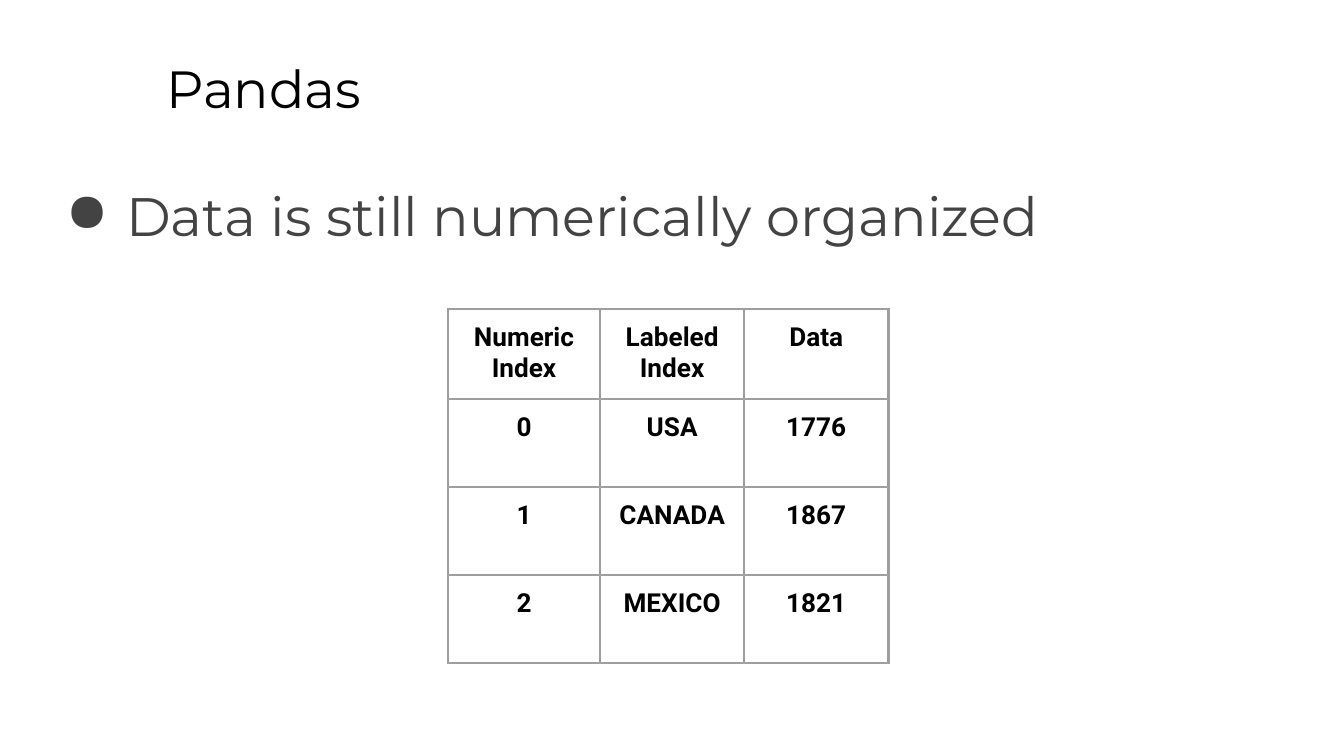
from lxml import etree
from pptx import Presentation
from pptx.dml.color import RGBColor
from pptx.enum.text import MSO_ANCHOR, PP_ALIGN
from pptx.oxml.ns import qn
from pptx.util import Pt

TOP = MSO_ANCHOR.TOP
LEFT = PP_ALIGN.LEFT
CENTER = PP_ALIGN.CENTER
INSET = Pt(7.2)
COLORS = {"ink": "000000", "body": "434343", "grid": "9E9E9E"}
ROWS = [
    ("Numeric Index", "Labeled Index", "Data"),
    ("0", "USA", "1776"),
    ("1", "CANADA", "1867"),
    ("2", "MEXICO", "1821"),
]
WIDTHS = (81.5, 77.2, 77.2)
HEIGHT = 47.25


def style(para, font, size, color, bold=False, align=LEFT):
    """Format the runs of a paragraph."""
    para.alignment = align
    for run in para.runs:
        run.font.name = font
        run.font.size = Pt(size)
        run.font.bold = bold
        run.font.color.rgb = RGBColor.from_string(COLORS[color])


def inset(box):
    """Give a text frame or cell equal margins on all sides."""
    box.margin_left = box.margin_right = INSET
    box.margin_top = box.margin_bottom = INSET


def add_text(slide, place, text, size, color):
    """Add a wrapped text box and return its paragraph."""
    box = slide.shapes.add_textbox(*(Pt(n) for n in place))
    frame = box.text_frame
    frame.word_wrap = True
    frame.vertical_anchor = TOP
    inset(frame)
    frame.text = text
    para = frame.paragraphs[0]
    style(para, "Montserrat", size, color)
    return para


def add_bullet(para, color, left, hang):
    """Put a round bullet and a hanging indent on a paragraph."""
    props = para._p.get_or_add_pPr()
    props.set("marL", str(Pt(left)))
    props.set("indent", str(-Pt(hang)))
    paint = etree.SubElement(props, qn("a:buClr"))
    etree.SubElement(paint, qn("a:srgbClr"), val=COLORS[color])
    etree.SubElement(props, qn("a:buChar"), char="●")


def add_border(cell, color, width):
    """Draw a solid line on each side of a cell."""
    props = cell._tc.get_or_add_tcPr()
    for side in "LRTB":
        line = etree.SubElement(props, qn(f"a:ln{side}"), w=str(Pt(width)))
        fill = etree.SubElement(line, qn("a:solidFill"))
        etree.SubElement(fill, qn("a:srgbClr"), val=COLORS[color])


def fill_cell(cell, text):
    """Write and format one table cell."""
    cell.text = text
    cell.vertical_anchor = TOP
    inset(cell)
    style(cell.text_frame.paragraphs[0], "Roboto", 14, "ink", True, CENTER)
    add_border(cell, "grid", 1.5)
    cell.fill.background()


def add_grid(slide, left, top):
    """Add the table of indexes and data."""
    size = Pt(sum(WIDTHS)), Pt(HEIGHT * len(ROWS))
    frame = slide.shapes.add_table(
        len(ROWS), len(WIDTHS), Pt(left), Pt(top), *size)
    table = frame.table
    table.first_row = table.horz_banding = False
    for col, width in zip(table.columns, WIDTHS):
        col.width = Pt(width)
    for row, texts in zip(table.rows, ROWS):
        row.height = Pt(HEIGHT)
        for cell, text in zip(row.cells, texts):
            fill_cell(cell, text)


def main():
    """Build and save the slide."""
    deck = Presentation()
    deck.slide_width, deck.slide_height = Pt(720), Pt(405)
    slide = deck.slides.add_slide(deck.slide_layouts[6])
    add_text(slide, (82, 23, 613.5, 45.5), "Pandas", 28, "ink")
    point = add_text(slide, (24.5, 90.75, 684, 269.25),
                     "Data is still numerically organized", 29, "body")
    add_bullet(point, "body", 36, 32.4)
    add_grid(slide, 240, 165.6)
    deck.save("out.pptx")


if __name__ == "__main__":
    main()
